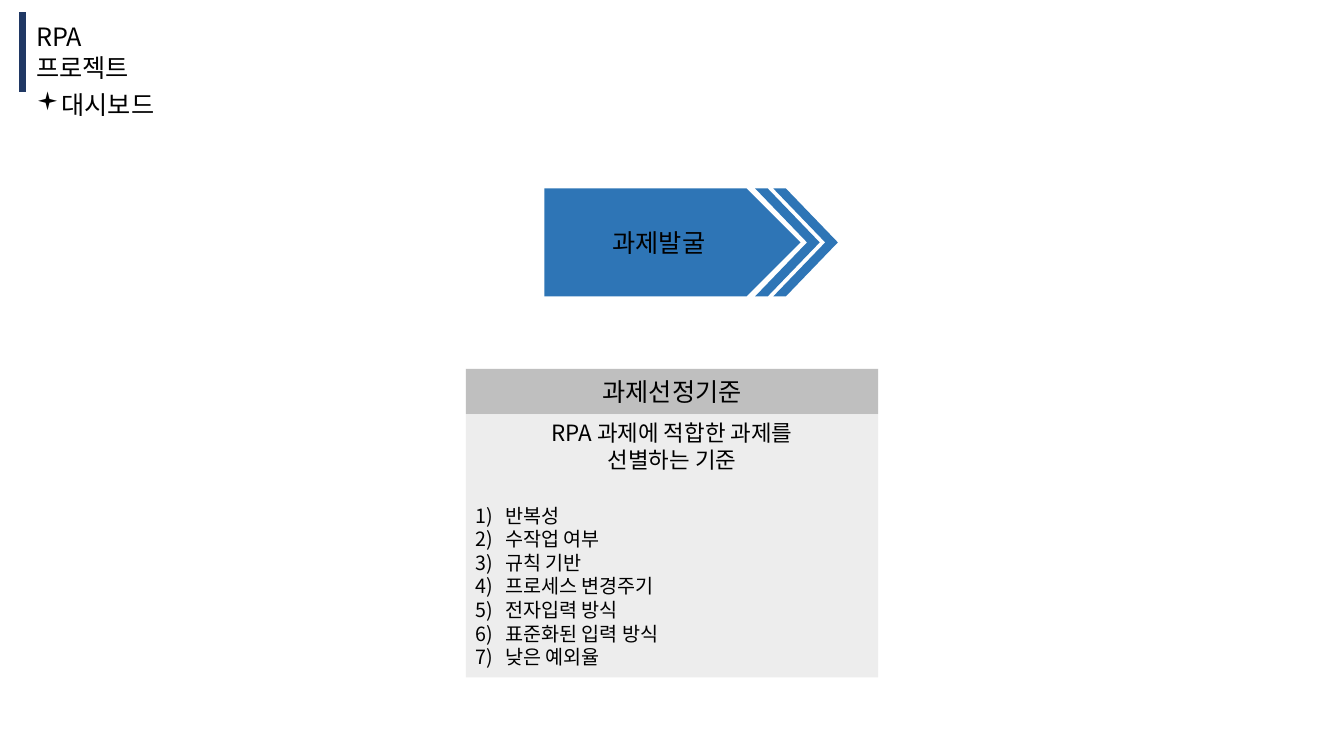
"""Build the RPA project slide on selecting automation tasks."""
from lxml import etree
from pptx import Presentation
from pptx.dml.color import RGBColor
from pptx.enum.shapes import MSO_CONNECTOR, MSO_SHAPE
from pptx.enum.text import MSO_ANCHOR, MSO_AUTO_SIZE, PP_ALIGN
from pptx.oxml.ns import qn
from pptx.util import Inches, Pt

STRAIGHT = MSO_CONNECTOR.STRAIGHT
RECTANGLE, PENTAGON, CHEVRON = MSO_SHAPE.RECTANGLE, MSO_SHAPE.PENTAGON, MSO_SHAPE.CHEVRON
TOP, MIDDLE = MSO_ANCHOR.TOP, MSO_ANCHOR.MIDDLE
LEFT, CENTER = PP_ALIGN.LEFT, PP_ALIGN.CENTER
NO_AUTOFIT = MSO_AUTO_SIZE.NONE

FONT = "Noto Sans CJK KR"
BULLET_FONT = "Wingdings"
COLORS = {"navy": "203864", "blue": "2E75B6", "panel": "EDEDED", "header": "BFBFBF", "text": "000000"}
DEFINITION = ["RPA 과제에 적합한 과제를", "선별하는 기준"]
CRITERIA = ["반복성", "수작업 여부", "규칙 기반", "프로세스 변경주기", "전자입력 방식", "표준화된 입력 방식", "낮은 예외율"]


def color(name):
    return RGBColor.from_string(COLORS[name])


def place(shape, left, top, width, height):
    shape.left, shape.top = Inches(left), Inches(top)
    shape.width, shape.height = Inches(width), Inches(height)


def format_paragraph(paragraph, size, align=LEFT, space_before=0):
    paragraph.alignment = align
    paragraph.space_before = Pt(space_before)
    font = paragraph.font
    font.name, font.size = FONT, Pt(size)
    font.color.rgb = color("text")
    properties = paragraph._p.get_or_add_pPr().find(qn("a:defRPr"))
    etree.SubElement(properties, qn("a:ea"), typeface=FONT)


def add_bullet(paragraph, indent, font, tag, **attributes):
    properties = paragraph._p.get_or_add_pPr()
    properties.set("marL", str(Inches(indent)))
    properties.set("indent", str(-Inches(indent)))
    etree.SubElement(properties, qn("a:buFont"), typeface=font)
    etree.SubElement(properties, qn(tag), **attributes)


def fill_placeholder(placeholder, text, box, anchor, bullet=None):
    place(placeholder, *box)
    frame = placeholder.text_frame
    frame.text = text
    frame.word_wrap = True
    frame.auto_size = NO_AUTOFIT
    frame.vertical_anchor = anchor
    paragraph = frame.paragraphs[0]
    if bullet:
        add_bullet(paragraph, 0.2, BULLET_FONT, "a:buChar", char=bullet)
    format_paragraph(paragraph, 18)


def add_block(slide, kind, box, fill, text=""):
    shape = slide.shapes.add_shape(kind, *map(Inches, box))
    shape.shadow.inherit = False
    shape.fill.solid()
    shape.fill.fore_color.rgb = color(fill)
    shape.line.fill.background()
    if text:
        shape.text_frame.text = text
        shape.text_frame.vertical_anchor = MIDDLE
        format_paragraph(shape.text_frame.paragraphs[0], 18, CENTER)
    return shape


def add_title_bar(slide):
    bar = slide.shapes.add_connector(STRAIGHT, Inches(0.22), Inches(0.12), Inches(0.22), Inches(0.91))
    bar.line.color.rgb = color("navy")
    bar.line.width = Pt(5)
    etree.SubElement(bar._element.spPr, qn("a:effectLst"))


def add_step_arrow(slide):
    add_block(slide, PENTAGON, (5.4, 1.87, 2.54, 1.07), "blue", "과제발굴")
    for left in (7.49, 7.67):
        chevron = add_block(slide, CHEVRON, (left, 1.87, 0.64, 1.07), "blue")
        chevron.adjustments[0] = 0.805


def add_criteria_panel(slide):
    panel = add_block(slide, RECTANGLE, (4.62, 4.11, 4.09, 2.61), "panel")
    frame = panel.text_frame
    frame.text = "\n".join(DEFINITION + CRITERIA)
    frame.vertical_anchor = TOP
    for index, paragraph in enumerate(frame.paragraphs):
        if index < len(DEFINITION):
            format_paragraph(paragraph, 16, CENTER)
        else:
            add_bullet(paragraph, 0.29, FONT, "a:buAutoNum", type="arabicParenR")
            format_paragraph(paragraph, 14, space_before=22 if index == len(DEFINITION) else 0)
    add_block(slide, RECTANGLE, (4.62, 3.66, 4.09, 0.45), "header", "과제선정기준")


def main():
    presentation = Presentation()
    presentation.slide_width, presentation.slide_height = Inches(13.33), Inches(7.5)
    slide = presentation.slides.add_slide(presentation.slide_layouts[1])
    title, body = slide.placeholders
    fill_placeholder(title, "RPA\v프로젝트", (0.26, 0.16, 1.15, 0.71), MIDDLE)
    fill_placeholder(body, "대시보드", (0.26, 0.84, 1.5, 0.4), TOP, "▪")
    add_title_bar(slide)
    add_step_arrow(slide)
    add_criteria_panel(slide)
    presentation.save("out.pptx")


if __name__ == "__main__":
    main()
